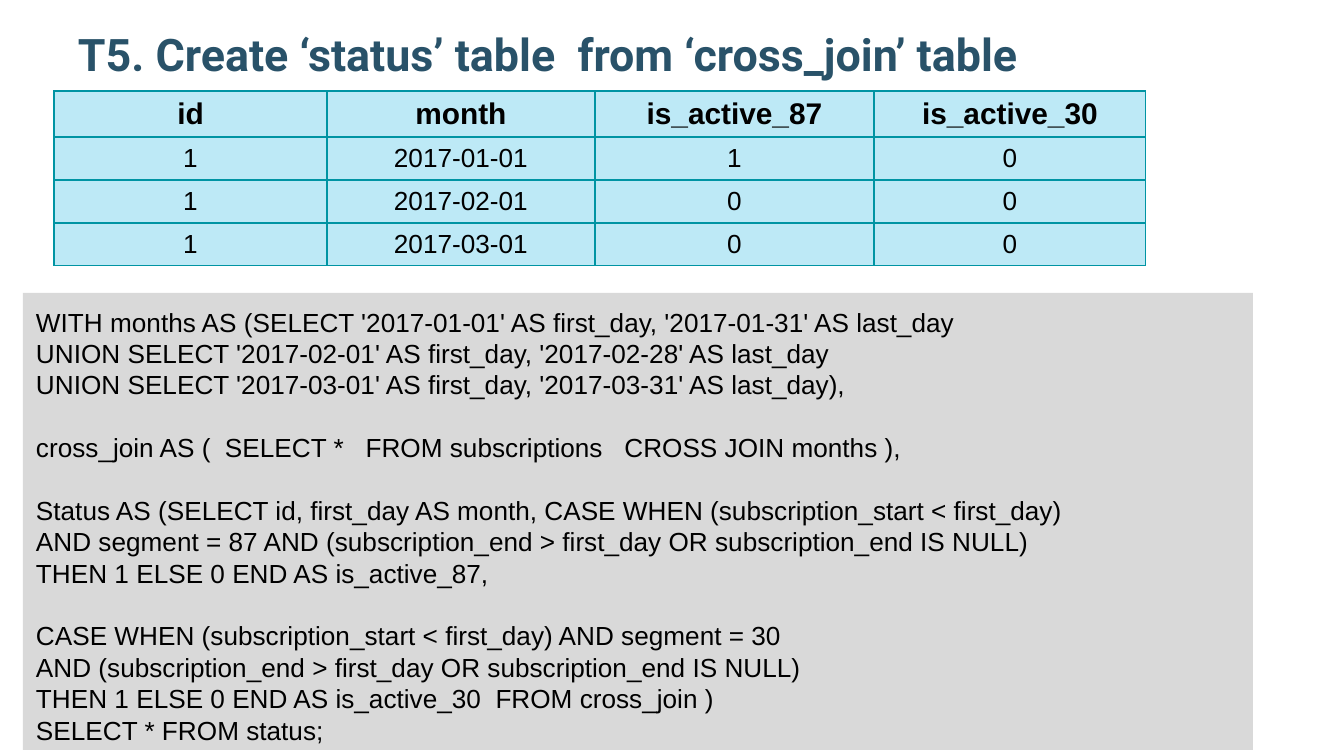
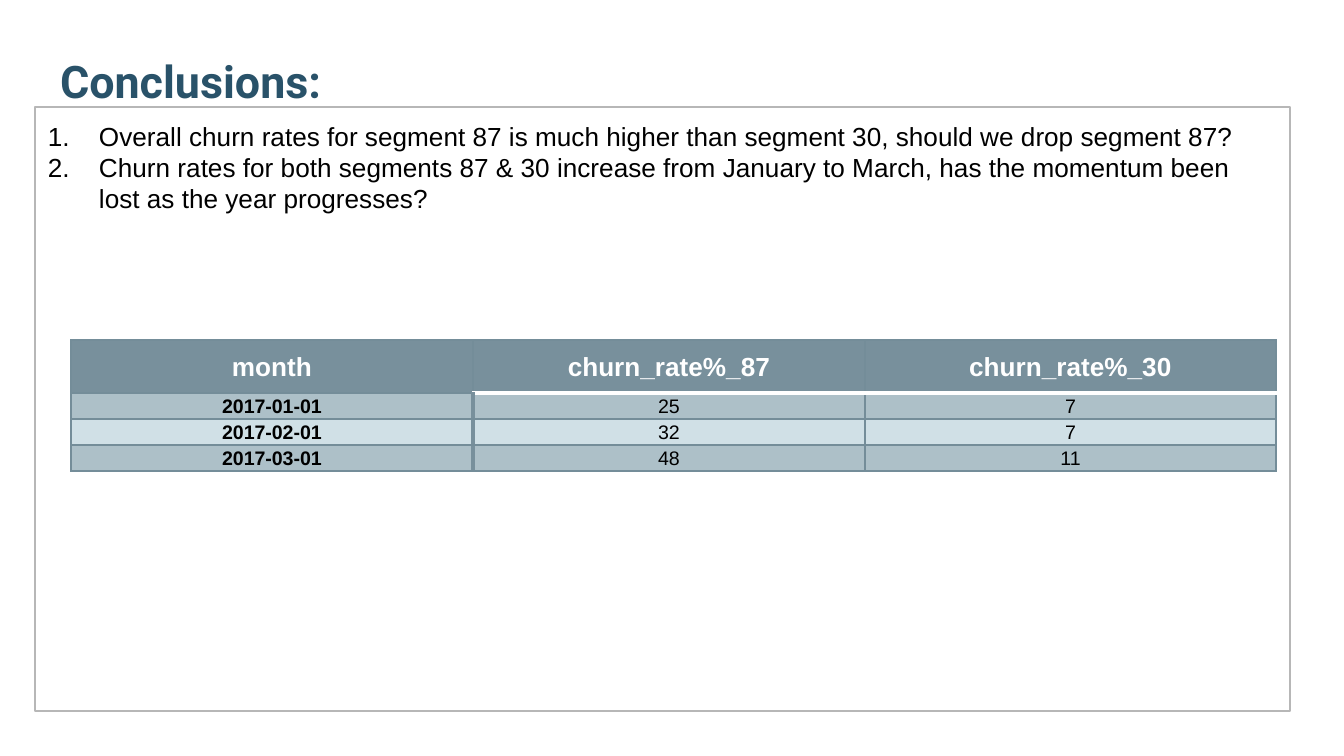
from lxml.etree import SubElement
from pptx import Presentation
from pptx.dml.color import RGBColor
from pptx.enum.shapes import MSO_SHAPE
from pptx.enum.text import MSO_ANCHOR as ANCHOR, MSO_AUTO_SIZE as AUTO_SIZE, PP_ALIGN as ALIGN
from pptx.oxml.ns import qn
from pptx.util import Emu, Pt

COLORS = {
    "title": "295269", "text": "000000", "white": "FFFFFF",
    "code": "D9D9D9", "frame": "B7B7B7",
    "status": "BDE9F6", "status_line": "0094A3",
    "churn": "78909C", "churn_line": "748D99",
    "band_dark": "ADC0C8", "band_light": "D0E0E6",
}
TITLE_FONT, BODY_FONT = "Roboto", "Arial"
PX_PER_INCH = 134.4
INSET = 13
BLANK_LINE = 16.8

CODE_BLOCKS = [
    ["WITH months AS (SELECT '2017-01-01' AS first_day, '2017-01-31' AS last_day",
     "UNION SELECT '2017-02-01' AS first_day, '2017-02-28' AS last_day",
     "UNION SELECT '2017-03-01' AS first_day, '2017-03-31' AS last_day),"],
    ["cross_join AS (  SELECT *   FROM subscriptions   CROSS JOIN months ),"],
    ["Status AS (SELECT id, first_day AS month, CASE WHEN (subscription_start < first_day)",
     "AND segment = 87 AND (subscription_end > first_day OR subscription_end IS NULL)",
     "THEN 1 ELSE 0 END AS is_active_87,"],
    ["CASE WHEN (subscription_start < first_day) AND segment = 30",
     "AND (subscription_end > first_day OR subscription_end IS NULL)",
     "THEN 1 ELSE 0 END AS is_active_30  FROM cross_join )",
     "SELECT * FROM status;"],
]
CONCLUSIONS = [
    "Overall churn rates for segment 87 is much higher than segment 30, "
    "should we drop segment 87?",
    "Churn rates for both segments 87 & 30 increase from January to March, "
    "has the momentum been lost as the year progresses?",
]
STATUS_ROWS = [
    ["id", "month", "is_active_87", "is_active_30"],
    ["1", "2017-01-01", "1", "0"],
    ["1", "2017-02-01", "0", "0"],
    ["1", "2017-03-01", "0", "0"],
]
CHURN_ROWS = [
    ["month", "churn_rate%_87", "churn_rate%_30"],
    ["2017-01-01", "25", "7"],
    ["2017-02-01", "32", "7"],
    ["2017-03-01", "48", "11"],
]


def px(length):
    return Emu(round(length * 914400 / PX_PER_INCH))


def rgb(name):
    return RGBColor.from_string(COLORS[name])


def add_run(paragraph, text, size, color="text", bold=False, font=BODY_FONT):
    run = paragraph.add_run()
    run.text = text
    run.font.name, run.font.size, run.font.bold = font, Pt(size), bold
    run.font.color.rgb = rgb(color)


def set_insets(holder, across, down):
    holder.margin_left = holder.margin_right = px(across)
    holder.margin_top = holder.margin_bottom = px(down)


def add_titled_slide(prs, title, left, top, width, height):
    slide = prs.slides.add_slide(prs.slide_layouts[5])
    heading = slide.shapes.title
    heading.left, heading.top = px(left), px(top)
    heading.width, heading.height = px(width), px(height)
    frame = heading.text_frame
    frame.word_wrap, frame.auto_size = True, AUTO_SIZE.NONE
    frame.vertical_anchor = ANCHOR.BOTTOM
    set_insets(frame, INSET, INSET)
    line = frame.paragraphs[0]
    line.alignment = ALIGN.LEFT
    add_run(line, title, 24, "title", True, TITLE_FONT)
    return slide


def add_panel(slide, left, top, width, height, fill=None, outline=None):
    """Add a rectangle for left-aligned text and return its text frame."""
    panel = slide.shapes.add_shape(
        MSO_SHAPE.RECTANGLE, px(left), px(top), px(width), px(height))
    panel.shadow.inherit = False
    if fill:
        panel.fill.solid()
        panel.fill.fore_color.rgb = rgb(fill)
    else:
        panel.fill.background()
    if outline:
        panel.line.color.rgb = rgb(outline)
        panel.line.width = Pt(0.75)
    else:
        panel.line.fill.background()
    frame = panel.text_frame
    frame.word_wrap, frame.vertical_anchor = True, ANCHOR.TOP
    set_insets(frame, INSET, INSET)
    return frame


def add_line(frame, text, space_before=0, numbered=False):
    first = frame.paragraphs[0]
    paragraph = frame.add_paragraph() if first.runs else first
    paragraph.alignment, paragraph.line_spacing = ALIGN.LEFT, 1.0
    paragraph.space_before = Pt(space_before)
    if numbered:
        props = paragraph._p.get_or_add_pPr()
        props.set("marL", str(px(51)))
        props.set("indent", str(-px(51)))
        SubElement(props, qn("a:buAutoNum"), type="arabicPeriod")
    add_run(paragraph, text, 14)


def set_borders(cell, edges):
    """Draw the edges, given as (colour, points) by side L, R, T, B."""
    props = cell._tc.get_or_add_tcPr()
    for side in "LRTB":
        color, points = edges[side]
        line = SubElement(props, qn(f"a:ln{side}"), w=str(Pt(points)))
        fill = SubElement(line, qn("a:solidFill"))
        SubElement(fill, qn("a:srgbClr"), val=COLORS[color])


def add_grid(slide, rows, left, top, widths, heights, insets, style, spacing=1.0):
    """Add a table; style(row, column) gives fill, edges and run format."""
    table = slide.shapes.add_table(
        len(rows), len(widths), px(left), px(top),
        px(sum(widths)), px(sum(heights))).table
    table.first_row = table.horz_banding = False
    for column, width in zip(table.columns, widths):
        column.width = px(width)
    for r, (row, height) in enumerate(zip(rows, heights)):
        table.rows[r].height = px(height)
        for c, text in enumerate(row):
            fill, edges, run_format = style(r, c)
            cell = table.cell(r, c)
            set_borders(cell, edges)
            cell.fill.solid()
            cell.fill.fore_color.rgb = rgb(fill)
            cell.vertical_anchor = ANCHOR.MIDDLE
            set_insets(cell, *insets)
            paragraph = cell.text_frame.paragraphs[0]
            paragraph.alignment, paragraph.line_spacing = ALIGN.CENTER, spacing
            add_run(paragraph, text, **run_format)


def status_style(row, column):
    edges = dict.fromkeys("LRTB", ("status_line", 0.75))
    header = row == 0
    return "status", edges, {"size": 16 if header else 14, "bold": header}


def churn_style(row, column):
    edges = dict.fromkeys("LRTB", ("churn_line", 0.75))
    if column > 0 and row < 2:
        edges["B" if row == 0 else "T"] = ("white", 2)
    if row > 0 and column < 2:
        edges["R" if column == 0 else "L"] = ("churn", 2)
    if row == 0:
        return "churn", edges, {"size": 14, "color": "white", "bold": True}
    band = "band_dark" if row % 2 else "band_light"
    return band, edges, {"size": 10.5, "bold": column == 0}


def build_status_slide(prs):
    slide = add_titled_slide(
        prs, "T5. Create ‘status’ table  from ‘cross_join’ table", 65, 0, 1142, 93)
    code = add_panel(slide, 23, 293, 1230, 457, fill="code")
    for b, block in enumerate(CODE_BLOCKS):
        for n, text in enumerate(block):
            add_line(code, text, BLANK_LINE if b and n == 0 else 0)
    add_grid(slide, STATUS_ROWS, 54, 91, [273, 268, 279, 272],
             [46, 43, 43, 43], (13, 5), status_style)


def build_conclusions_slide(prs):
    slide = add_titled_slide(prs, "Conclusions:", 47, 44, 1228, 77)
    conclusions = add_panel(slide, 35, 107, 1255, 604, outline="frame")
    for text in CONCLUSIONS:
        add_line(conclusions, text, numbered=True)
    add_grid(slide, CHURN_ROWS, 71, 340, [402, 392, 411],
             [53, 26, 26, 26], (1, 1), churn_style, 1.07)


def main():
    prs = Presentation()
    prs.slide_width, prs.slide_height = px(1344), px(756)
    build_status_slide(prs)
    build_conclusions_slide(prs)
    prs.save("out.pptx")


if __name__ == "__main__":
    main()
